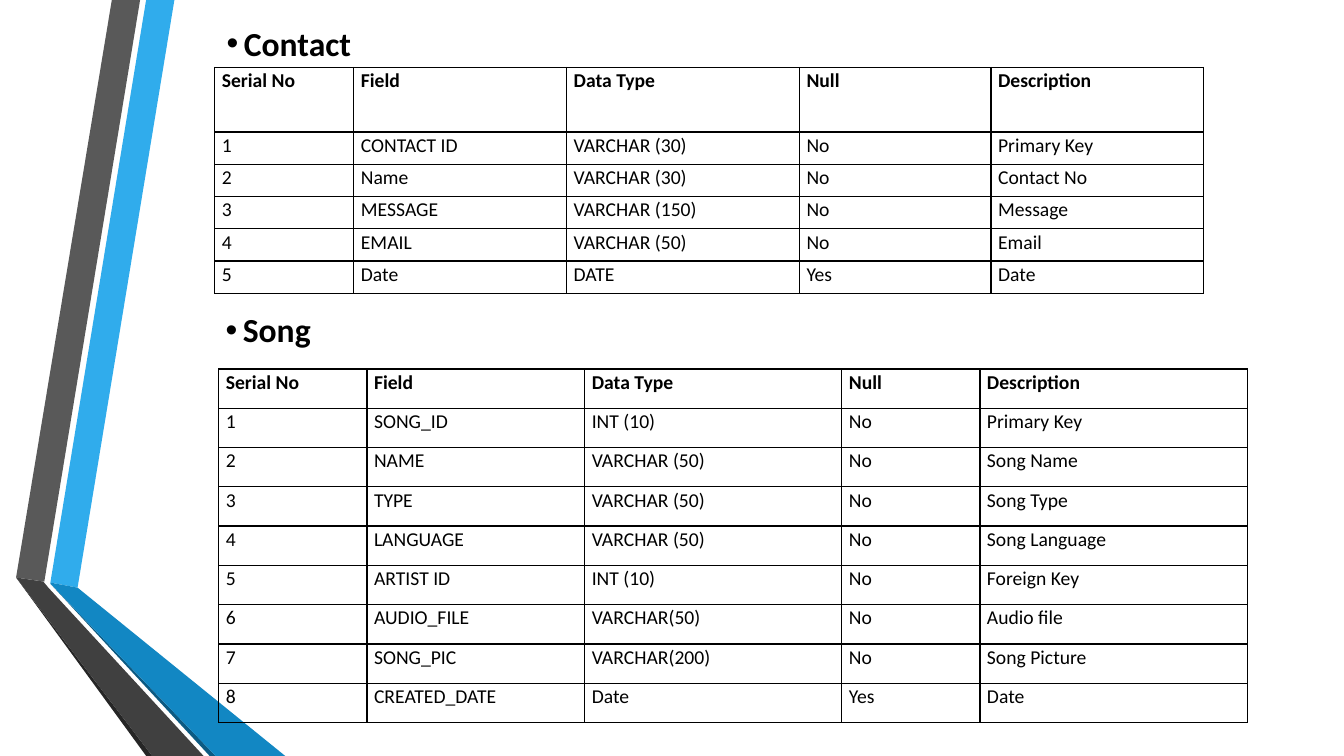
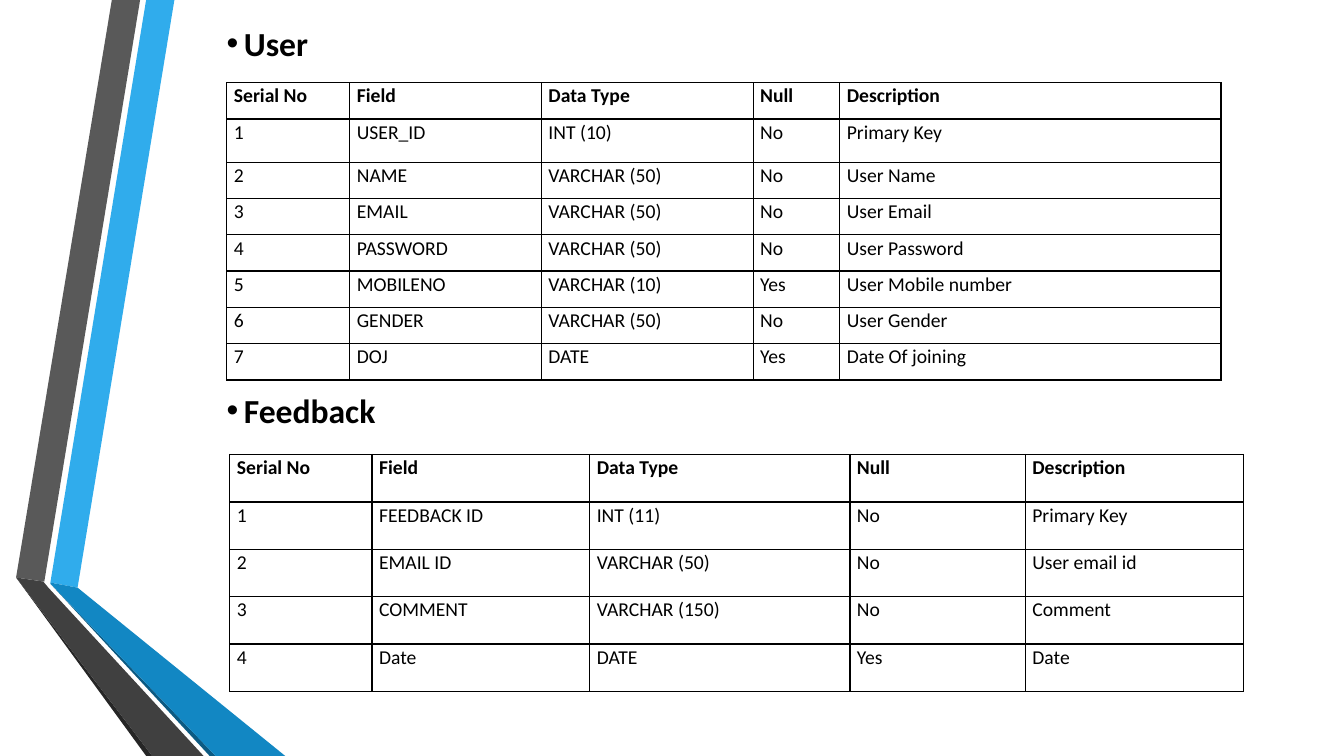
"""Build two slides of database table definitions beside a folded ribbon."""
import pptx
import pptx.dml.color
import pptx.oxml
import pptx.oxml.ns
import pptx.util

INK = "000000"
FONT = "Calibri"
UNIT = 9144
HEADER = ("Serial No", "Field", "Data Type", "Null", "Description")

RIBBON = [
    ("30ACEC", [(50, 578), (77, 583), (173, 0), (145, 0)]),
    ("595959", [(139, 0), (111, 0), (16, 573), (44, 577)]),
    ("262626", [(16, 573), (145, 750), (151, 750)]),
    ("0C5A82", [(50, 579), (208, 750), (214, 750)]),
    ("1287C3", [(50, 578), (50, 579), (214, 750), (283, 750), (77, 583)]),
    ("404040", [(202, 750), (48, 583), (43, 577), (16, 573), (151, 750)]),
]

CONTACT = [
    ("CONTACT ID", "VARCHAR (30)", "No", "Primary Key"),
    ("Name", "VARCHAR (30)", "No", "Contact No"),
    ("MESSAGE", "VARCHAR (150)", "No", "Message"),
    ("EMAIL", "VARCHAR (50)", "No", "Email"),
    ("Date", "DATE", "Yes", "Date"),
]
SONG = [
    ("SONG_ID", "INT (10)", "No", "Primary Key"),
    ("NAME", "VARCHAR (50)", "No", "Song Name"),
    ("TYPE", "VARCHAR (50)", "No", "Song Type"),
    ("LANGUAGE", "VARCHAR (50)", "No", "Song Language"),
    ("ARTIST ID", "INT (10)", "No", "Foreign Key"),
    ("AUDIO_FILE", "VARCHAR(50)", "No", "Audio file"),
    ("SONG_PIC", "VARCHAR(200)", "No", "Song Picture"),
    ("CREATED_DATE", "Date", "Yes", "Date"),
]
USER = [
    ("USER_ID", "INT (10)", "No", "Primary Key"),
    ("NAME", "VARCHAR (50)", "No", "User Name"),
    ("EMAIL", "VARCHAR (50)", "No", "User Email"),
    ("PASSWORD", "VARCHAR (50)", "No", "User Password"),
    ("MOBILENO", "VARCHAR (10)", "Yes", "User Mobile number"),
    ("GENDER", "VARCHAR (50)", "No", "User Gender"),
    ("DOJ", "DATE", "Yes", "Date Of joining"),
]
FEEDBACK = [
    ("FEEDBACK ID", "INT (11)", "No", "Primary Key"),
    ("EMAIL ID", "VARCHAR (50)", "No", "User email id"),
    ("COMMENT", "VARCHAR (150)", "No", "Comment"),
    ("Date", "DATE", "Yes", "Date"),
]

SLIDES = [
    [
        ("Contact", (2.15, 0.18, 1.52), (2.13, 0.67),
         [1.38, 2.11, 2.31, 1.9, 2.11], [0.64] + [0.32] * 5, CONTACT),
        ("Song", (2.14, 3.02, 1.14), (2.17, 3.66),
         [1.47, 2.16, 2.55, 1.37, 2.65], [0.39] * 9, SONG),
    ],
    [
        ("User", (2.15, 0.18, 1.05), (2.25, 0.82),
         [1.22, 1.9, 2.1, 0.86, 3.78], [0.36, 0.43] + [0.36] * 6, USER),
        ("Feedback", (2.15, 3.82, 1.78), (2.28, 4.51),
         [1.41, 2.16, 2.58, 1.74, 2.16], [0.47] * 5, FEEDBACK),
    ],
]


def paint(fill, color):
    fill.solid()
    fill.fore_color.rgb = pptx.dml.color.RGBColor.from_string(color)


def style(p, size, bold):
    for r in p.runs:
        r.font.name = FONT
        r.font.size = pptx.util.Pt(size)
        r.font.bold = bold
        paint(r.font.fill, INK)


inch = pptx.util.Inches
ns = pptx.oxml.ns.nsdecls("a")
prs = pptx.Presentation()
prs.slide_width, prs.slide_height = inch(13.33), inch(7.5)
blank = prs.slide_layouts[6]
for ph in list(blank.placeholders):
    blank.shapes.element.remove(ph.element)
slides = [prs.slides.add_slide(blank) for _ in SLIDES]

facets = []
for color, points in RIBBON:
    builder = slides[0].shapes.build_freeform(*points[0], scale=UNIT)
    builder.add_line_segments(points[1:], close=True)
    sp = builder.convert_to_shape()
    sp.shadow.inherit = False
    paint(sp.fill, color)
    sp.line.fill.background()
    facets.append(sp)
for sp in facets:
    blank.shapes.element.append(sp.element)

for s, sections in zip(slides, SLIDES):
    for title, (x, y, width), corner, widths, heights, fields in sections:
        tf = s.shapes.add_textbox(inch(x), inch(y), inch(width), inch(0.5)).text_frame
        tf.word_wrap = True
        p = tf.paragraphs[0]
        p.text = title
        pPr = p._p.get_or_add_pPr()
        pPr.set("marL", str(inch(0.17)))
        pPr.set("indent", str(-inch(0.17)))
        pPr.append(pptx.oxml.parse_xml(f'<a:buFont {ns} typeface="Arial"/>'))
        pPr.append(pptx.oxml.parse_xml(f'<a:buChar {ns} char="•"/>'))
        style(p, 24, True)

        rows = [HEADER] + [(str(n), *field) for n, field in enumerate(fields, 1)]
        table = s.shapes.add_table(
            len(rows), len(HEADER), inch(corner[0]), inch(corner[1]),
            inch(sum(widths)), inch(sum(heights))).table
        table.first_row = table.horz_banding = False
        for column, width in zip(table.columns, widths):
            column.width = inch(width)
        for i, (height, texts) in enumerate(zip(heights, rows)):
            table.rows[i].height = inch(height)
            for cell, text in zip(table.rows[i].cells, texts):
                cell.margin_left = cell.margin_right = inch(0.07)
                cell.margin_top = cell.margin_bottom = 0
                tcPr = cell._tc.get_or_add_tcPr()
                for side in "LRTB":
                    tcPr.append(pptx.oxml.parse_xml(
                        f'<a:ln{side} {ns} w="{pptx.util.Pt(1)}"><a:solidFill>'
                        f'<a:srgbClr val="{INK}"/></a:solidFill></a:ln{side}>'))
                cell.fill.background()
                p = cell.text_frame.paragraphs[0]
                p.text = text
                p.line_spacing = 1.07
                style(p, 14, i == 0)

prs.save("out.pptx")
